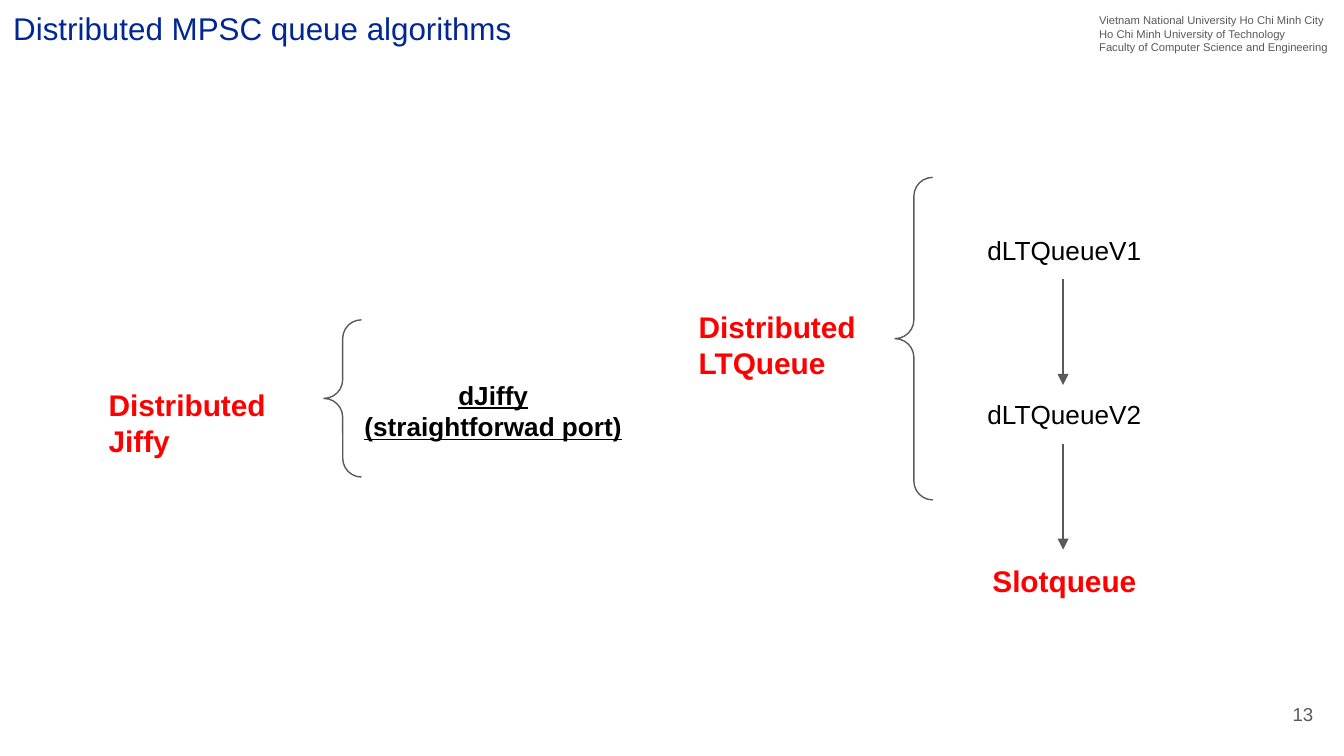
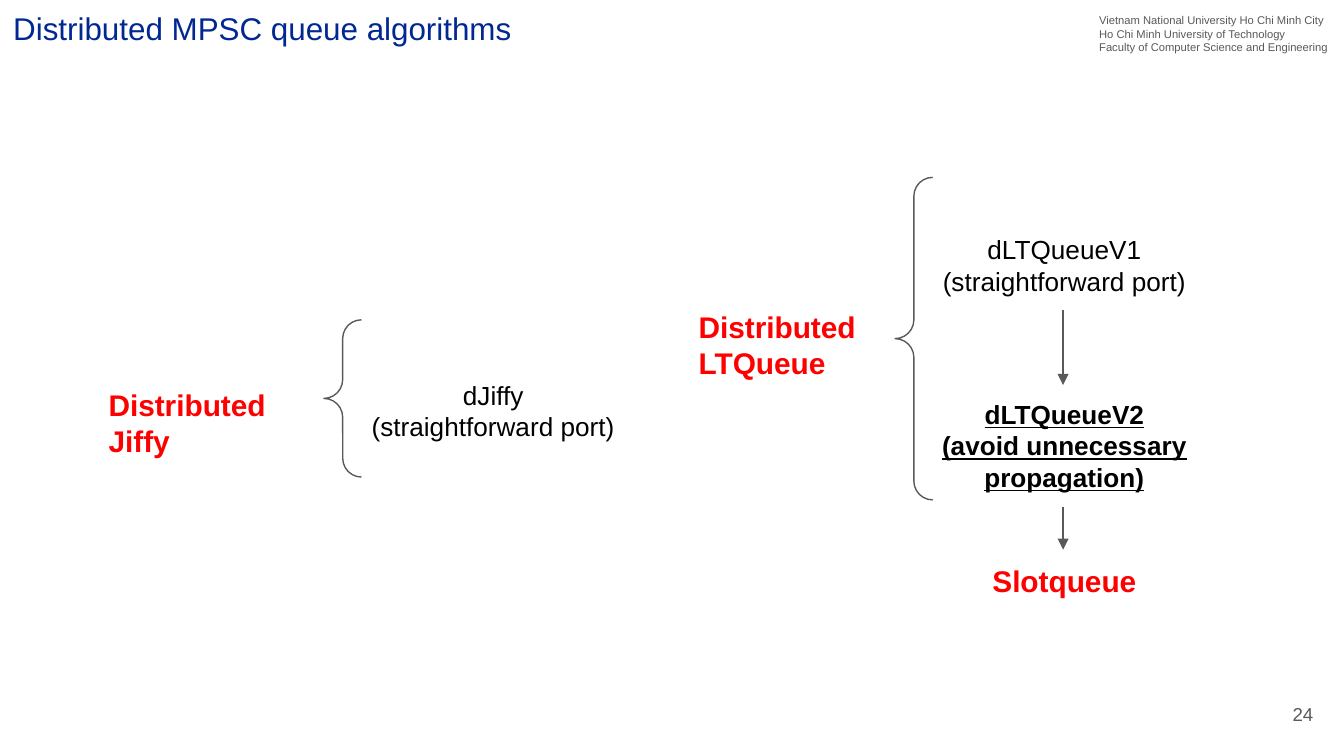
from pptx import Presentation
from pptx.dml.color import RGBColor
from pptx.enum.shapes import MSO_CONNECTOR as Connector, MSO_SHAPE as Shape
from pptx.enum.text import MSO_ANCHOR as Anchor, PP_ALIGN as Align
from pptx.oxml.ns import qn
from pptx.util import Pt
from lxml.etree import SubElement

NAVY = RGBColor(0x00, 0x27, 0x92)
GREY = RGBColor(0x59, 0x59, 0x59)
RED = RGBColor(0xFF, 0x00, 0x00)
BLACK = RGBColor(0x00, 0x00, 0x00)

deck = Presentation()
deck.slide_width = 9144000
deck.slide_height = 5143500
CELL = deck.slide_width / 100

PADDING = 1
LINE_HEIGHT = 2.35
NODE_WIDTH = 22
QUEUE_COLUMN = 68.2
QUEUE_ROW = 16.4
QUEUE_STEP = 12.25
ARROW_COLUMN = 79.1

TITLE = {"size": Pt(16.8), "color": NAVY}
HEADER = {"size": Pt(6), "color": GREY}
NUMBER = {"size": Pt(10), "color": GREY}
FAMILY = {"size": Pt(16), "color": RED, "bold": True}
NODE = {"size": Pt(14), "color": BLACK}
CURRENT = {**NODE, "bold": True, "underline": True}

UNIVERSITY = [
    "Vietnam National University Ho Chi Minh City",
    "Ho Chi Minh University of Technology",
    "Faculty of Computer Science and Engineering",
]
FAMILIES = [
    (7.1, 27.8, "Jiffy", 24.1, 23.8, 11.7),
    (51, 22, "LTQueue", 66.6, 13.2, 24),
]
PAGES = [
    {
        "number": "13",
        "jiffy": (["dJiffy", "(straightforwad port)"], CURRENT),
        "queues": [(["dLTQueueV1"], NODE, 1), (["dLTQueueV2"], NODE, 1)],
    },
    {
        "number": "24",
        "jiffy": (["dJiffy", "(straightforward port)"], NODE),
        "queues": [
            (["dLTQueueV1", "(straightforward port)"], NODE, 2),
            (["dLTQueueV2", "(avoid unnecessary propagation)"], CURRENT, 3),
        ],
    },
]


def grid(*cells):
    return [round(cell * CELL) for cell in cells]


def add_text(page, place, lines, style, align=Align.LEFT, anchor=Anchor.TOP):
    frame = page.shapes.add_textbox(*grid(*place)).text_frame
    frame.word_wrap = True
    frame.vertical_anchor = anchor
    for side in ("left", "top", "right", "bottom"):
        setattr(frame, f"margin_{side}", grid(PADDING)[0])
    for index, line in enumerate(lines):
        para = frame.add_paragraph() if index else frame.paragraphs[0]
        para.alignment = align
        span = para.add_run()
        span.text = line
        span.font.name = "Arial"
        for name, value in style.items():
            if name == "color":
                span.font.color.rgb = value
            else:
                setattr(span.font, name, value)


for content in PAGES:
    page = deck.slides.add_slide(deck.slide_layouts[6])
    add_text(page, (80.8, 0, 19.2, 5), UNIVERSITY, HEADER)
    add_text(page, (92.7, 51, 6, 4.3), [content["number"]], NUMBER, Align.RIGHT, Anchor.MIDDLE)
    add_text(page, (0, 0, 71.6, 4.5), ["Distributed MPSC queue algorithms"], TITLE, anchor=Anchor.BOTTOM)

    for column, row, family, brace_column, brace_row, brace_height in FAMILIES:
        add_text(page, (column, row, 15.7, 7.4), ["Distributed", family], FAMILY)
        brace = page.shapes.add_shape(Shape.LEFT_BRACE, *grid(brace_column, brace_row, 2.8, brace_height))
        brace.adjustments[0] = 0.5
        brace.shadow.inherit = False
        brace.fill.background()
        brace.line.color.rgb = GREY
        brace.line.width = Pt(0.75)

    lines, style = content["jiffy"]
    add_text(page, (25.7, 27.2, NODE_WIDTH, 6.7), lines, style, Align.CENTER)

    for index, (lines, style, line_count) in enumerate(content["queues"]):
        top = QUEUE_ROW + index * QUEUE_STEP
        height = 2 * PADDING + line_count * LINE_HEIGHT
        add_text(page, (QUEUE_COLUMN, top, NODE_WIDTH, height), lines, style, Align.CENTER)
        arrow = page.shapes.add_connector(
            Connector.STRAIGHT,
            *grid(ARROW_COLUMN, top + height, ARROW_COLUMN, top + QUEUE_STEP),
        )
        arrow.line.color.rgb = GREY
        arrow.line.width = Pt(0.75)
        SubElement(arrow.line._get_or_add_ln(), qn("a:tailEnd"), type="triangle", w="med", len="med")
        SubElement(arrow._element.spPr, qn("a:effectLst"))

    slotqueue_row = QUEUE_ROW + len(content["queues"]) * QUEUE_STEP
    add_text(page, (QUEUE_COLUMN, slotqueue_row, NODE_WIDTH, 4.7), ["Slotqueue"], FAMILY, Align.CENTER)

deck.save("out.pptx")
